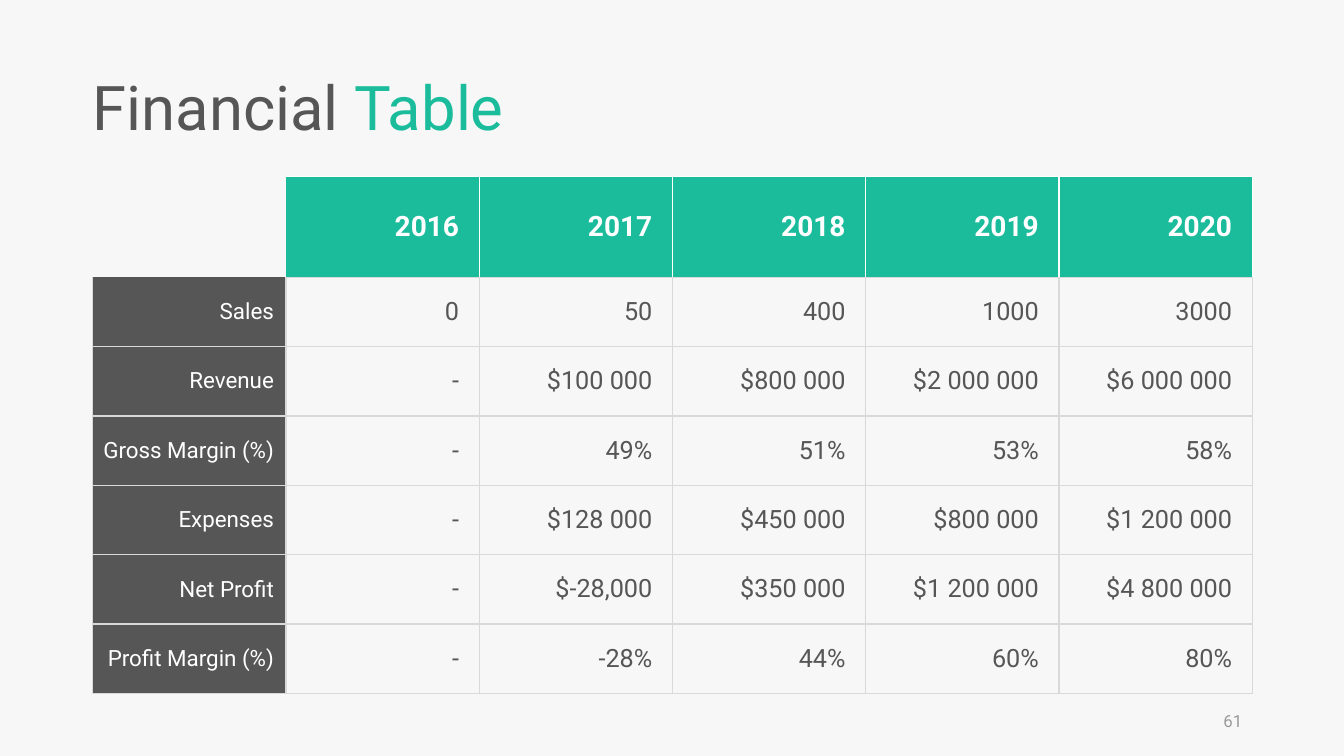
from dataclasses import dataclass

from lxml import etree
from pptx import Presentation
from pptx.dml.color import RGBColor
from pptx.enum.text import MSO_ANCHOR, PP_ALIGN
from pptx.oxml.ns import qn
from pptx.util import Inches, Pt

RIGHT = PP_ALIGN.RIGHT
LEFT = PP_ALIGN.LEFT
MIDDLE = MSO_ANCHOR.MIDDLE
BLANK_LAYOUT = 6


@dataclass(frozen=True)
class Theme:
    font: str = "Roboto"
    background: str = "F7F7F7"
    dark: str = "565656"
    accent: str = "1ABC9C"
    white: str = "FFFFFF"
    grid: str = "D9D9D9"
    muted: str = "9A9A9A"
    title_size: int = 44
    header_size: int = 20
    value_size: int = 18
    label_size: int = 16
    number_size: int = 12
    border_width: int = 1


@dataclass(frozen=True)
class Box:
    left: float
    top: float
    width: float
    height: float

    def lengths(self):
        return [Inches(n) for n in (self.left, self.top, self.width, self.height)]


THEME = Theme()

YEARS = ["", "2016", "2017", "2018", "2019", "2020"]
FINANCES = [
    ["Sales", "0", "50", "400", "1000", "3000"],
    ["Revenue", "-", "$100 000", "$800 000", "$2 000 000", "$6 000 000"],
    ["Gross Margin (%)", "-", "49%", "51%", "53%", "58%"],
    ["Expenses", "-", "$128 000", "$450 000", "$800 000", "$1 200 000"],
    ["Net Profit", "-", "$-28,000", "$350 000", "$1 200 000", "$4 800 000"],
    ["Profit Margin (%)", "-", "-28%", "44%", "60%", "80%"],
]


def style_run(run, size, color, bold=False):
    run.font.name = THEME.font
    run.font.size = Pt(size)
    run.font.bold = bold
    run.font.color.rgb = RGBColor.from_string(color)


def add_text(slide, box, parts, size, alignment):
    text_frame = slide.shapes.add_textbox(*box.lengths()).text_frame
    text_frame.word_wrap = True
    paragraph = text_frame.paragraphs[0]
    paragraph.alignment = alignment
    for text, color in parts:
        run = paragraph.add_run()
        run.text = text
        style_run(run, size, color)
    return text_frame


def add_title(slide, box):
    parts = [("Financial ", THEME.dark), ("Table", THEME.accent)]
    text_frame = add_text(slide, box, parts, THEME.title_size, LEFT)
    text_frame.margin_left = 0
    paragraph = text_frame.paragraphs[0]
    paragraph.line_spacing = 0.9
    paragraph.space_before = Pt(10)


def add_slide_number(slide, box):
    text_frame = add_text(slide, box, [("61", THEME.muted)], THEME.number_size, RIGHT)
    text_frame.vertical_anchor = MIDDLE


def border_colors(row, column):
    if row == 0 and column == 0:
        return dict.fromkeys("LRTB")
    if row == 0:
        left = None if column == 1 else THEME.white
        return {"L": left, "R": THEME.white, "T": THEME.white, "B": THEME.grid}
    colors = dict.fromkeys("LRTB", THEME.grid)
    if row == 1 and column == 0:
        colors["T"] = None
    return colors


def set_borders(cell, colors):
    properties = cell._tc.get_or_add_tcPr()
    for position, (side, color) in enumerate(colors.items()):
        line = etree.Element(qn(f"a:ln{side}"), w=str(Pt(THEME.border_width)))
        if color:
            fill = etree.SubElement(line, qn("a:solidFill"))
            etree.SubElement(fill, qn("a:srgbClr"), val=color)
        else:
            etree.SubElement(line, qn("a:noFill"))
        properties.insert(position, line)


def cell_style(row, column):
    if row == 0:
        return (THEME.accent if column else None), THEME.header_size, THEME.white
    if column == 0:
        return THEME.dark, THEME.label_size, THEME.white
    return None, THEME.value_size, THEME.dark


def fill_cell(cell, text, row, column):
    fill, size, color = cell_style(row, column)
    if fill:
        cell.fill.solid()
        cell.fill.fore_color.rgb = RGBColor.from_string(fill)
    else:
        cell.fill.background()
    set_borders(cell, border_colors(row, column))
    cell.vertical_anchor = MIDDLE
    cell.margin_right = Inches(0.2 if column else 0.12)
    cell.text_frame.text = text
    paragraph = cell.text_frame.paragraphs[0]
    paragraph.alignment = RIGHT
    for run in paragraph.runs:
        style_run(run, size, color, bold=row == 0)


def add_financial_table(slide, box):
    rows = [YEARS, *FINANCES]
    header_height = 1
    row_height = (box.height - header_height) / len(FINANCES)
    table = slide.shapes.add_table(len(rows), len(YEARS), *box.lengths()).table
    table.first_row = False
    table.horz_banding = False
    for column in table.columns:
        column.width = Inches(box.width / len(YEARS))
    for index, values in enumerate(rows):
        table.rows[index].height = Inches(row_height if index else header_height)
        for column, text in enumerate(values):
            fill_cell(table.cell(index, column), text, index, column)


def main():
    presentation = Presentation()
    presentation.slide_width = Inches(13.33)
    presentation.slide_height = Inches(7.5)
    slide = presentation.slides.add_slide(presentation.slide_layouts[BLANK_LAYOUT])
    slide.background.fill.solid()
    slide.background.fill.fore_color.rgb = RGBColor.from_string(THEME.background)
    add_title(slide, Box(0.92, 0.72, 4.9, 0.77))
    add_financial_table(slide, Box(0.92, 1.75, 11.5, 5.13))
    add_slide_number(slide, Box(9.42, 6.95, 3, 0.4))
    presentation.save("out.pptx")


if __name__ == "__main__":
    main()
